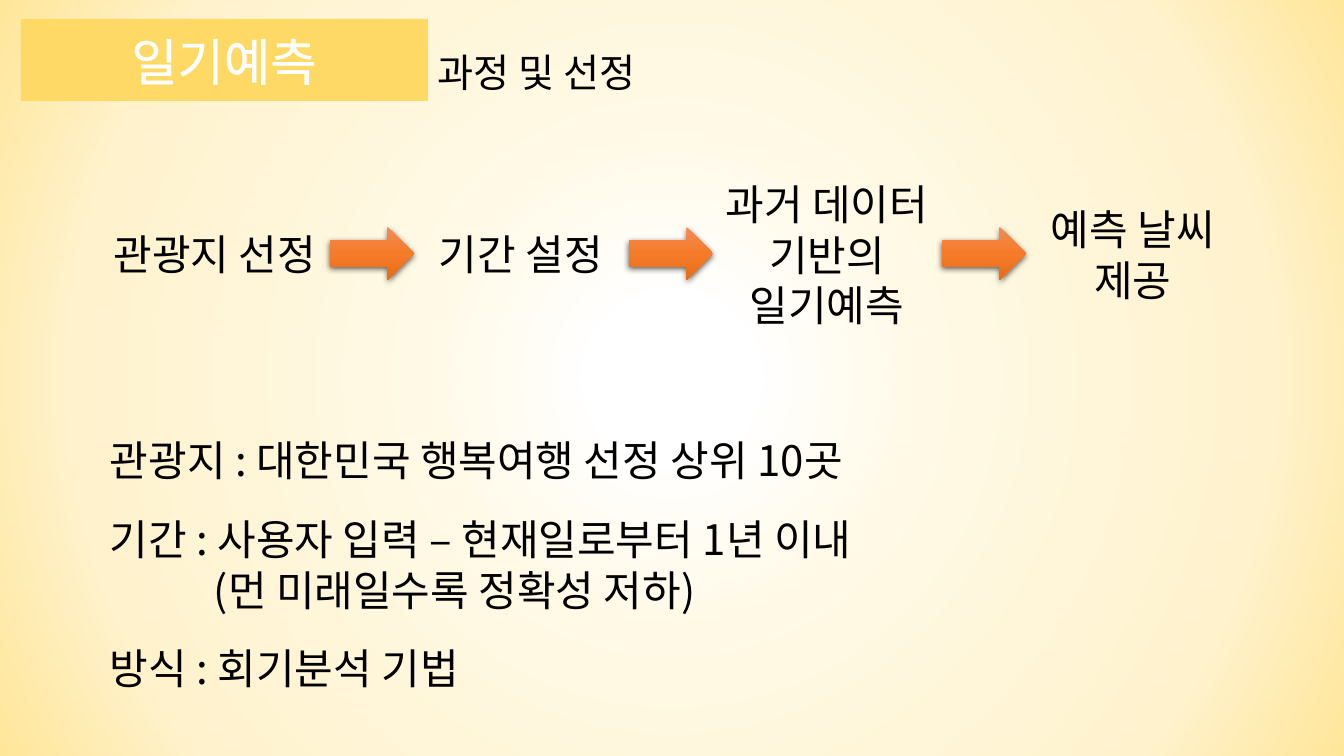
from pptx import Presentation
from pptx.dml.color import RGBColor
from pptx.enum.shapes import MSO_SHAPE
from pptx.enum.text import MSO_AUTO_SIZE, PP_ALIGN
from pptx.oxml import parse_xml
from pptx.oxml.ns import nsdecls, qn
from pptx.util import Pt

PX = 12192000 / 1344  # EMU per px
THEME = {
    "font": "Noto Sans CJK KR",
    "title": 36, "sub": 28, "body": 30, "lead": 1.21,
    "white": "FFFFFF", "ink": "000000", "band": "FFD966",
    "glow": [(10, "FFFFFF"), (33, "FFF9E6"), (56, "FFF6D9"),
             (78, "FFF2CC"), (100, "FFE699")],
    "arrow": [(0, "F18C57"), (50, "F67B28"), (100, "E56C19")],
}
NS = nsdecls("a")


def write(box, lines, size, color="ink", align=PP_ALIGN.LEFT, indent=0):
    """Add a text box; lines after the first are indented by px."""
    frame = slide.shapes.add_textbox(*[round(v * PX) for v in box]).text_frame
    for key, val in {"word_wrap": True,
                     "auto_size": MSO_AUTO_SIZE.SHAPE_TO_FIT_TEXT}.items():
        setattr(frame, key, val)
    for i, line in enumerate(lines):
        para = frame.add_paragraph() if i else frame.paragraphs[0]
        para.alignment = align
        para.line_spacing = Pt(THEME[size] * THEME["lead"])
        if i and indent:
            para._p.get_or_add_pPr().set("marL", str(round(indent * PX)))
        run = para.add_run()
        run.text = line
        for key, val in {"name": THEME["font"], "size": Pt(THEME[size])}.items():
            setattr(run.font, key, val)
        run.font.color.rgb = RGBColor.from_string(THEME[color])
        run._r.get_or_add_rPr().append(
            parse_xml(f'<a:ea {NS} typeface="{THEME["font"]}"/>'))
    return frame


def grade(fill, root, stops, way):
    """Give a fill several gradient stops and a direction."""
    fill.gradient()
    old = root.find(".//" + qn("a:gradFill"))
    marks = "".join(f'<a:gs pos="{pos * 1000}"><a:srgbClr val="{tint}"/></a:gs>'
                    for pos, tint in stops)
    old.getparent().replace(old, parse_xml(
        f'<a:gradFill {NS} rotWithShape="1"><a:gsLst>{marks}</a:gsLst>{way}</a:gradFill>'))


deck = Presentation()
deck.slide_width, deck.slide_height = round(1344 * PX), round(756 * PX)
slide = deck.slides.add_slide(deck.slide_layouts[6])

# Background glow
grade(slide.background.fill, slide._element, THEME["glow"],
      '<a:path path="circle"><a:fillToRect l="50000" t="50000" r="50000" b="50000"/></a:path>')

# Header band, title and subtitle
band = slide.shapes.add_shape(
    MSO_SHAPE.RECTANGLE, *[round(v * PX) for v in (21, 19, 407, 82)])
band.shadow.inherit = False
band.fill.solid()
band.fill.fore_color.rgb = RGBColor.from_string(THEME["band"])
band.line.fill.background()
title = write((42, 25, 364, 72), ["일기예측"], "title", "white", PP_ALIGN.CENTER)
title.paragraphs[0].runs[0]._r.rPr.insert(0, parse_xml(
    f'<a:ln {NS} w="9525"><a:solidFill><a:srgbClr val="{THEME["white"]}"/></a:solidFill></a:ln>'))
write((428, 43, 391, 57), ["과정 및 선정"], "sub")

# Process steps: evenly spaced, centred on one line
steps = [(["관광지 선정"], 1), (["기간 설정"], 1),
         (["과거 데이터 기반의", "일기예측"], 3), (["예측 날씨", "제공"], 2)]
for i, (lines, rows) in enumerate(steps):
    tall = 12 + 50 * rows
    write((100 + 306 * i, 254 - tall // 2, 230, tall), lines, "body",
          align=PP_ALIGN.CENTER)

# Facts: stacked with equal gaps
facts = [["관광지 : 대한민국 행복여행 선정 상위 10곳"],
         ["기간 : 사용자 입력 – 현재일로부터 1년 이내", "(먼 미래일수록 정확성 저하)"],
         ["방식 : 회기분석 기법"]]
top = 429
for lines in facts:
    tall = 12 + 50 * len(lines)
    write((100, top, 995, tall), lines, "body", indent=104)
    top += tall + 17

# Arrows between the steps
for left in (330, 629, 942):
    arrow = slide.shapes.add_shape(
        MSO_SHAPE.RIGHT_ARROW, *[round(v * PX) for v in (left, 227, 84, 53)])
    grade(arrow.fill, arrow._element, THEME["arrow"], '<a:lin ang="5400000" scaled="0"/>')
    arrow.line.fill.background()
    arrow.shadow.inherit = False
    arrow._element.spPr.find(qn("a:effectLst")).append(parse_xml(
        f'<a:outerShdw {NS} blurRad="57150" dist="19050" dir="5400000" algn="ctr" rotWithShape="0">'
        f'<a:srgbClr val="{THEME["ink"]}"><a:alpha val="63000"/></a:srgbClr></a:outerShdw>'))

deck.save("out.pptx")
